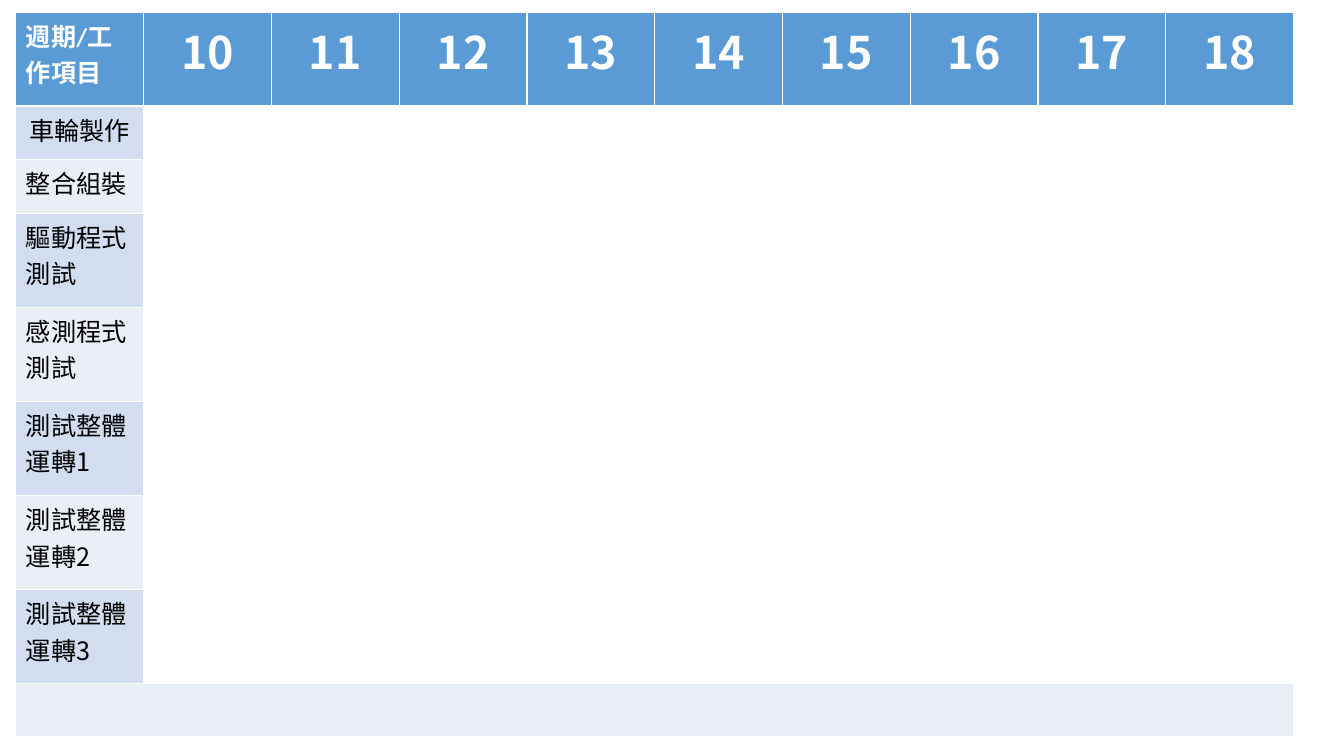
from lxml.etree import SubElement
from pptx import Presentation
from pptx.dml.color import RGBColor
from pptx.enum.text import PP_ALIGN
from pptx.oxml.ns import qn
from pptx.util import Cm, Pt

WEEKS = range(10, 19)
TASKS = ["車輪製作", "整合組裝", "驅動程式測試", "感測程式測試",
         "測試整體運轉1", "測試整體運轉2", "測試整體運轉3"]
SHORT_ROW, TALL_ROW, COLUMN = Cm(1.35), Cm(2.37), Cm(3.22)
ROW_HEIGHTS = [TALL_ROW, SHORT_ROW, SHORT_ROW] + [TALL_ROW] * 5 + [SHORT_ROW]


def color(hex_code):
    return RGBColor.from_string(hex_code)


class ScheduleSlide:
    """Draws a weekly work schedule in one consistent style."""

    HEADER, BANDS = "5B9BD5", ("EAEFF7", "D2DEEF")
    CJK_FONT, LATIN_FONT = "Noto Sans CJK SC", "Calibri"

    def __init__(self, presentation):
        self.slide = presentation.slides.add_slide(presentation.slide_layouts[6])

    def table(self, left, top, column_count, column_width, row_heights):
        schedule = self.slide.shapes.add_table(
            len(row_heights), column_count, left, top,
            column_width * column_count, sum(row_heights)).table
        for column in schedule.columns:
            column.width = column_width
        for row, height in zip(schedule.rows, row_heights):
            row.height = height
        return schedule

    def fill(self, cell, hex_code):
        cell.fill.solid()
        cell.fill.fore_color.rgb = color(hex_code)

    def text(self, cell, wording, size=18, ink="000000", bold=False,
             align=PP_ALIGN.LEFT, font_name=CJK_FONT):
        cell.text = wording
        paragraph = cell.text_frame.paragraphs[0]
        paragraph.alignment = align
        font = paragraph.font
        font.size, font.bold, font.name = Pt(size), bold, font_name
        font.color.rgb = color(ink)
        defaults = paragraph._p.pPr.find(qn("a:defRPr"))
        SubElement(defaults, qn("a:ea")).set("typeface", self.CJK_FONT)

    def header(self, cell, wording, **style):
        self.fill(cell, self.HEADER)
        self.text(cell, wording, ink="FFFFFF", bold=True, **style)


def main():
    presentation = Presentation()
    presentation.slide_width, presentation.slide_height = Cm(33.87), Cm(19.05)
    page = ScheduleSlide(presentation)
    schedule = page.table(Cm(0.4), Cm(0.3), len(WEEKS) + 1, COLUMN, ROW_HEIGHTS)

    page.header(schedule.cell(0, 0), "週期/工作項目", font_name=page.LATIN_FONT)
    for column, week in enumerate(WEEKS, 1):
        page.header(schedule.cell(0, column), str(week), size=32,
                    align=PP_ALIGN.CENTER)

    for row, task in enumerate(TASKS, 1):
        task_cell = schedule.cell(row, 0)
        page.fill(task_cell, page.BANDS[row % 2])
        page.text(task_cell, task,
                  align=PP_ALIGN.CENTER if row == 1 else PP_ALIGN.LEFT)
        for column in range(1, len(WEEKS) + 1):
            schedule.cell(row, column).fill.background()

    last_row = len(ROW_HEIGHTS) - 1
    footer = schedule.cell(last_row, 0)
    footer.merge(schedule.cell(last_row, len(WEEKS)))
    page.fill(footer, page.BANDS[0])
    presentation.save("out.pptx")


if __name__ == "__main__":
    main()
